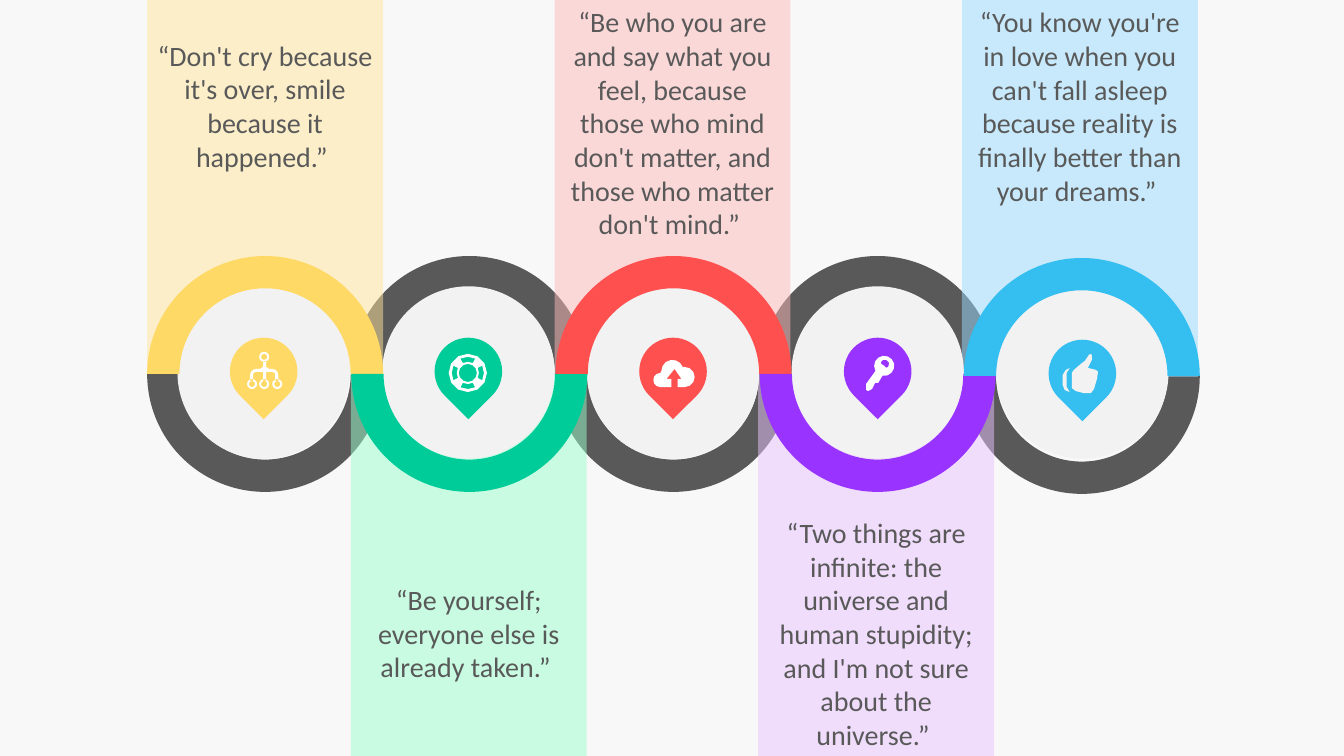
from math import ceil, cos, radians, sin

from lxml.etree import SubElement
from pptx import Presentation
from pptx.dml.color import RGBColor
from pptx.enum.shapes import MSO_SHAPE
from pptx.enum.text import MSO_ANCHOR, PP_ALIGN
from pptx.oxml.ns import qn
from pptx.util import Inches, Pt

GREY, PALE, WHITE = "595959", "F2F2F2", "FFFFFF"
PITCH = 2.03
HALF_TURN = 108


def paint(shape, colour, opacity=100):
    shape.shadow.inherit = False
    shape.line.fill.background()
    shape.fill.solid()
    shape.fill.fore_color.rgb = RGBColor.from_string(colour)
    if opacity < 100:
        for node in shape.fill._xPr.iter(qn("a:srgbClr")):
            SubElement(node, qn("a:alpha"), val=str(opacity * 1000))


def add_half_ring(index, upper, colour):
    ring = page.shapes.add_shape(
        MSO_SHAPE.BLOCK_ARC, Inches(1.46 + 2.025 * index),
        Inches(2.56 if index == 4 else 2.54), Inches(2.34), Inches(2.34))
    ring.adjustments[0] = HALF_TURN if upper else 0
    ring.adjustments[1] = 0 if upper else HALF_TURN
    ring.adjustments[2] = 0.32 / 2.34
    paint(ring, colour)


deck = Presentation()
deck.slide_width, deck.slide_height = Inches(13.33), Inches(7.5)
page = deck.slides.add_slide(deck.slide_layouts[6])
page.background.fill.solid()
page.background.fill.fore_color.rgb = RGBColor.from_string("F8F8F8")

quotes = [
    ("FFD966", "FFE699", 0.38, 0.05,
     "“Don't cry because it's over, smile because it happened.” "),
    ("00CC99", "99FFCC", 0.05, 0.72,
     "“Be yourself; everyone else is already taken.” "),
    ("FF5050", "FFB9B9", 0.05, 0.05,
     "“Be who you are and say what you feel, because those who mind don't matter, "
     "and those who matter don't mind.” "),
    ("9933FF", "EAC1FF", 0.05, 0.05,
     "“Two things are infinite: the universe and human stupidity; "
     "and I'm not sure about the universe.” "),
    ("35BEF0", "97DCFF", 0.05, 0.05,
     "“You know you're in love when you can't fall asleep because reality "
     "is finally better than your dreams.” "),
]

for index in range(len(quotes)):
    add_half_ring(index, index % 2 == 1, GREY)

for index, (bright, tint, inset_top, inset_bottom, quote) in enumerate(quotes):
    hanging = index % 2 == 0
    top = 0 if hanging else 3.71
    height = (3.74 if index == 4 else 3.7) if hanging else 3.79
    band = page.shapes.add_shape(
        MSO_SHAPE.RECTANGLE, Inches(1.46 + 2.02 * index), Inches(top),
        Inches(2.34), Inches(height))
    paint(band, tint, 50)
    box = band.text_frame
    frame_format = {
        "word_wrap": True,
        "vertical_anchor": MSO_ANCHOR.TOP if hanging else MSO_ANCHOR.BOTTOM,
        "margin_top": Inches(inset_top),
        "margin_bottom": Inches(inset_bottom),
    }
    for name, value in frame_format.items():
        setattr(box, name, value)
    para = box.paragraphs[0]
    para.alignment = PP_ALIGN.CENTER
    span = para.add_run()
    span.text = quote
    for name, value in {"name": "Calibri", "size": Pt(20)}.items():
        setattr(span.font, name, value)
    span.font.color.rgb = RGBColor.from_string(GREY)

for index in range(len(quotes)):
    disc = page.shapes.add_shape(
        MSO_SHAPE.OVAL, Inches(1.76 + PITCH * index), Inches(2.84),
        Inches(1.71), Inches(1.71))
    paint(disc, PALE)

tree = [[
    (2.48, 3.78), (2.54, 3.72, 0.06, 180, 270), (2.58, 3.66), (2.61, 3.64),
    (2.61, 3.58), (2.64, 3.58), (2.64, 3.64), (2.67, 3.66),
    (2.7, 3.72, 0.06, 270, 360), (2.76, 3.78), (2.73, 3.78),
    (2.7, 3.72, 0.03, 360, 270), (2.64, 3.69), (2.64, 3.78), (2.61, 3.78),
    (2.61, 3.69), (2.54, 3.72, 0.03, 270, 180), (2.51, 3.78),
]]
for x, y in [(2.62, 3.54), (2.5, 3.81), (2.62, 3.81), (2.75, 3.81)]:
    for radius in (0.05, 0.03):
        tree.append([(x, y, radius, 0, 360)])

lifebuoy = [[(4.64, 3.7, radius, 0, 360)] for radius in (0.19, 0.09)]
for angle in range(0, 360, 90):
    lifebuoy.append([(4.64, 3.7, 0.16, angle - 27, angle + 27),
                     (4.64, 3.7, 0.11, angle + 27, angle - 27)])

cloud = [[
    (6.66, 3.84), (6.55, 3.77, 0.07, 90, 270), (6.67, 3.68, 0.11, 180, 340),
    (6.79, 3.74, 0.1, 270, 450), (6.72, 3.84), (6.72, 3.76), (6.76, 3.76),
    (6.69, 3.66), (6.61, 3.76), (6.66, 3.76),
]]
key = [
    [(8.77, 3.63, 0.1, 150, 460), (8.71, 3.8), (8.68, 3.8), (8.65, 3.86),
     (8.61, 3.88), (8.59, 3.87), (8.59, 3.81)],
    [(8.81, 3.64), (8.79, 3.65), (8.77, 3.63), (8.74, 3.61), (8.74, 3.59),
     (8.76, 3.57), (8.79, 3.57), (8.82, 3.6)],
]
thumb = [
    [(10.79, 3.65), (10.83, 3.57), (10.83, 3.53), (10.82, 3.51), (10.8, 3.52),
     (10.76, 3.58), (10.72, 3.61), (10.65, 3.67), (10.63, 3.7), (10.63, 3.85),
     (10.67, 3.88), (10.75, 3.9), (10.82, 3.9), (10.85, 3.86), (10.88, 3.76),
     (10.89, 3.69), (10.87, 3.67)],
    [(10.61, 3.65), (10.57, 3.67), (10.54, 3.72), (10.54, 3.82), (10.56, 3.87),
     (10.61, 3.89), (10.58, 3.84), (10.58, 3.7)],
]
icons = [tree, lifebuoy, cloud, key, thumb]

for index, ((bright, *rest), icon) in enumerate(zip(quotes, icons)):
    add_half_ring(index, index % 2 == 0, bright)
    pin = page.shapes.add_shape(
        MSO_SHAPE.TEAR, Inches(2.28 + PITCH * index),
        Inches(3.37 if index == 4 else 3.35), Inches(0.67), Inches(0.67))
    pin.rotation = 135
    paint(pin, bright)

    builder = None
    for contour in icon:
        points = []
        for x, y, *arc in contour:
            radius, start, end = arc or (0, 0, 0)
            steps = ceil(abs(end - start) / 30)
            for step in range(steps + 1):
                angle = radians(start + (end - start) * step / max(steps, 1))
                points.append((1000 * (x + radius * cos(angle)),
                               1000 * (y + radius * sin(angle))))
        if builder is None:
            builder = page.shapes.build_freeform(*points[0], scale=Inches(1) / 1000)
        else:
            builder.move_to(*points[0])
        builder.add_line_segments(points[1:], close=True)
    paint(builder.convert_to_shape(), PALE if icon is thumb else WHITE)

deck.save("out.pptx")
